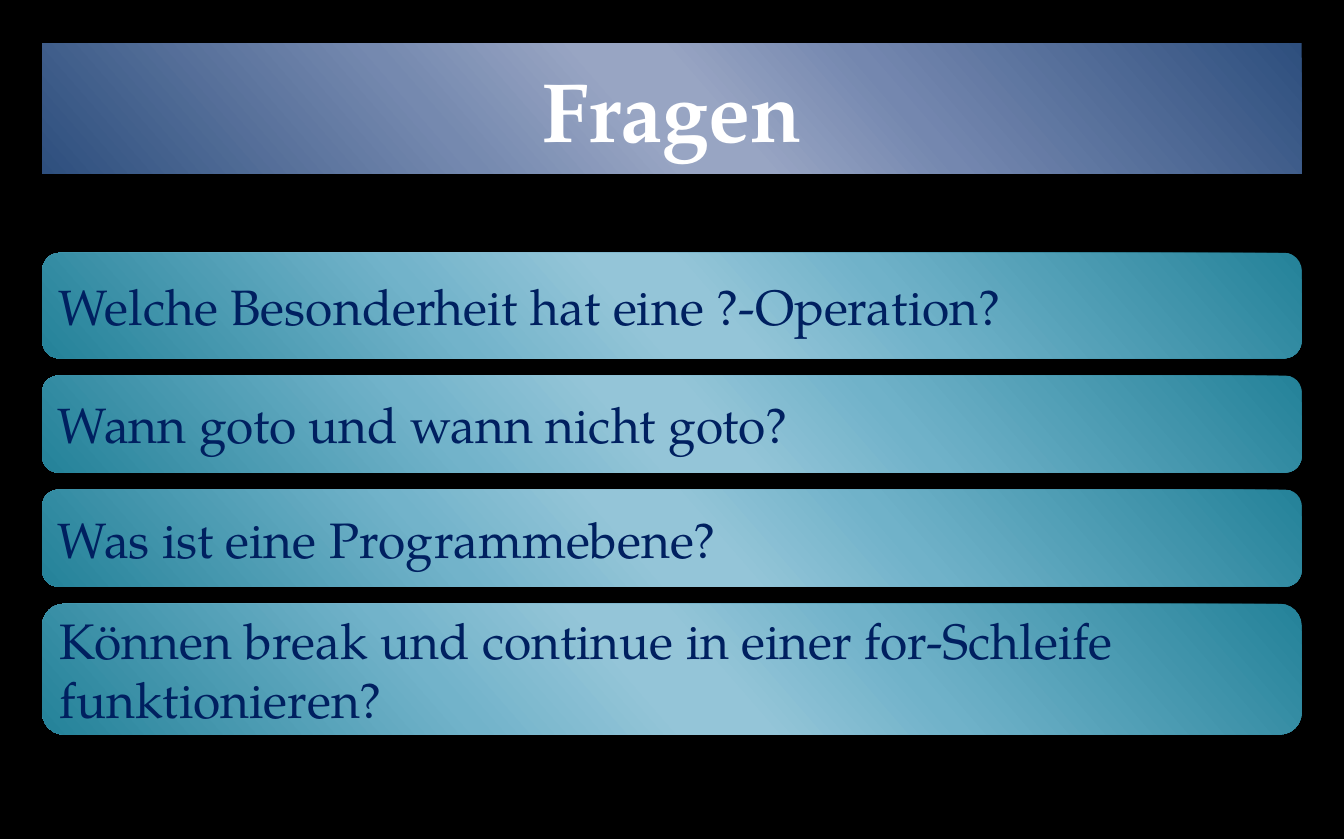
"""Build the slide with a title bar and four question bars."""
from lxml import etree
from pptx import Presentation
from pptx.dml.color import RGBColor
from pptx.enum import shapes, text
from pptx.oxml.ns import nsdecls
from pptx.util import Cm, Pt

TITLE = "Fragen"
ROWS = [
    ("Welche Besonderheit hat eine ?-Operation?", 2.4),
    ("Wann goto und wann nicht goto?", 2.2),
    ("Was ist eine Programmebene?", 2.2),
    ("Können break und continue in einer for-Schleife funktionieren?", 2.97),
]
LEFT, WIDTH = 0.96, 28.58
HEAD_TOP, HEAD_HIGH = 0.98, 2.97
ROW_TOP, GAP = 5.74, 0.39
STOPS = (0, 33, 47, 53, 68, 100)
THEME = {
    "font": "TeX Gyre Pagella",
    "back": "000000",
    "head": {
        "size": 54, "bold": True, "ink": "FFFFFF", "align": text.PP_ALIGN.CENTER,
        "fill": ("2E4F7E", "7487AF", "98A5C3", "98A5C3", "7589AF", "2E4F7E"),
    },
    "row": {
        "size": 32, "bold": False, "ink": "002060", "align": text.PP_ALIGN.LEFT,
        "fill": ("248299", "70B2C9", "94C5D8", "94C5D8", "72B3CA", "248299"),
    },
}


def paint(bar, tones):
    """Give a bar its gradient, with no line and no shadow."""
    stops = "".join(
        f'<a:gs pos="{pos * 1000}"><a:srgbClr val="{tone}"/></a:gs>'
        for pos, tone in zip(STOPS, tones)
    )
    parts = [
        f'<a:gradFill {nsdecls("a")} rotWithShape="1"><a:gsLst>{stops}</a:gsLst>'
        f'<a:lin ang="{139 * 60000}" scaled="0"/></a:gradFill>',
        f'<a:ln {nsdecls("a")}><a:noFill/></a:ln>',
        f'<a:effectLst {nsdecls("a")}/>',
    ]
    if bar.is_placeholder:
        parts.insert(0, f'<a:prstGeom {nsdecls("a")} prst="roundRect"><a:avLst/></a:prstGeom>')
    for part in parts:
        bar.element.spPr.append(etree.fromstring(part))


def write(bar, words, look):
    """Set the text of a bar and its style."""
    paint(bar, look["fill"])
    frame = bar.text_frame
    frame.text = words
    frame.word_wrap = True
    frame.auto_size = text.MSO_AUTO_SIZE.NONE
    frame.vertical_anchor = text.MSO_ANCHOR.MIDDLE
    para = frame.paragraphs[0]
    para.alignment = look["align"]
    font = para.font
    font.name, font.size, font.bold = THEME["font"], Pt(look["size"]), look["bold"]
    font.color.rgb = RGBColor.from_string(look["ink"])


def main():
    """Place the bars and save the deck."""
    deck = Presentation()
    deck.slide_width, deck.slide_height = Cm(30.5), Cm(19.05)
    slide = deck.slides.add_slide(deck.slide_layouts[5])
    back = slide.background.fill
    back.solid()
    back.fore_color.rgb = RGBColor.from_string(THEME["back"])

    head = slide.shapes.title
    head.left, head.top = Cm(LEFT), Cm(HEAD_TOP)
    head.width, head.height = Cm(WIDTH), Cm(HEAD_HIGH)
    write(head, TITLE, THEME["head"])

    top = ROW_TOP
    for words, high in ROWS:
        bar = slide.shapes.add_shape(
            shapes.MSO_SHAPE.ROUNDED_RECTANGLE, Cm(LEFT), Cm(top), Cm(WIDTH), Cm(high)
        )
        write(bar, words, THEME["row"])
        top += high + GAP
    deck.save("out.pptx")


if __name__ == "__main__":
    main()
